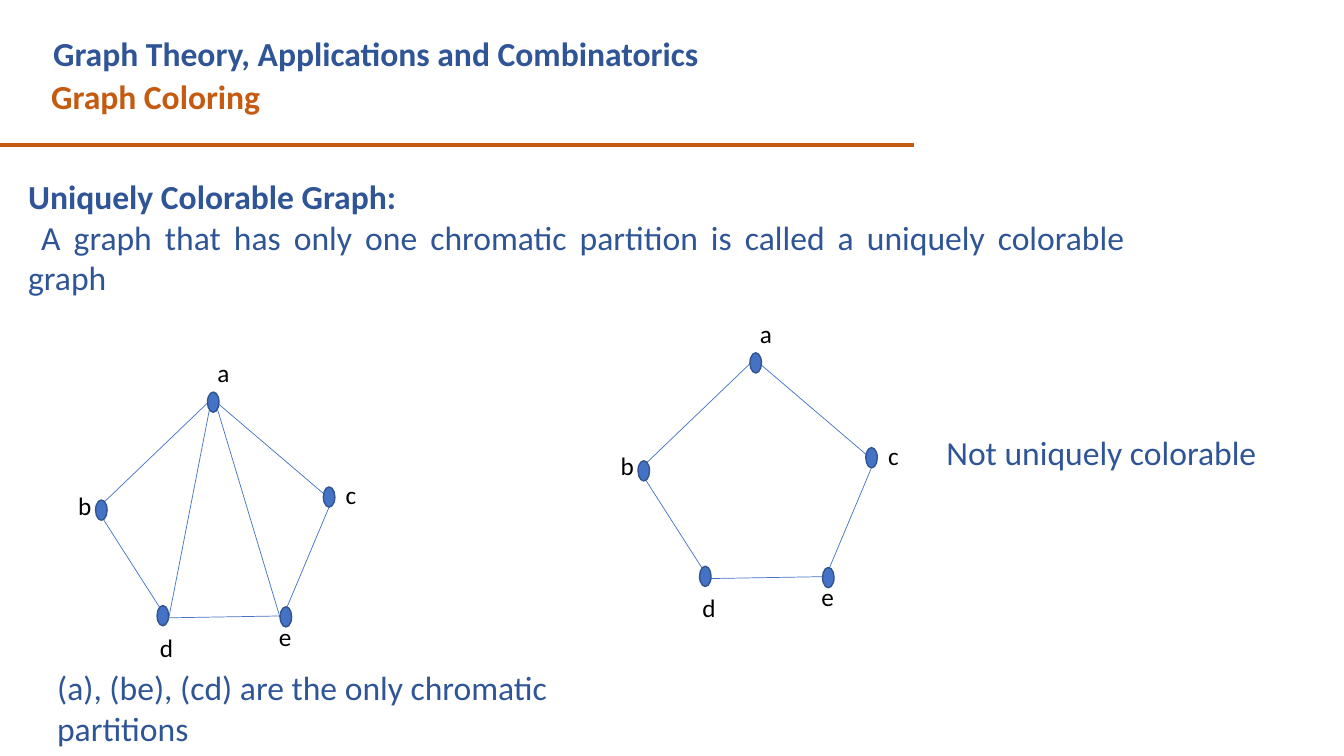
import pptx
import pptx.dml.color
import pptx.enum.shapes
import pptx.enum.text
import pptx.oxml.ns
import pptx.util
from lxml import etree
from pptx.util import Cm

COLORS = {
    "blue": "2F5597",
    "orange": "C55A11",
    "node": "4472C4",
    "outline": "325491",
    "black": "000000",
}
RGB = {name: pptx.dml.color.RGBColor.from_string(value) for name, value in COLORS.items()}

deck = pptx.Presentation()
deck.slide_width, deck.slide_height = Cm(33.87), Cm(19.05)
page = deck.slides.add_slide(deck.slide_layouts[6])


def add_text(shapes, left, top, width, height, lines, color, size=24, align=None):
    """Add a text box; lines is a list of (text, bold) pairs."""
    box = shapes.add_textbox(Cm(left), Cm(top), Cm(width), Cm(height))
    frame = box.text_frame
    frame.word_wrap = True
    frame.auto_size = pptx.enum.text.MSO_AUTO_SIZE.SHAPE_TO_FIT_TEXT
    for index, (text, bold) in enumerate(lines):
        para = frame.add_paragraph() if index else frame.paragraphs[0]
        para.alignment = align
        span = para.add_run()
        span.text = text
        font_format = {"name": "Calibri", "size": pptx.util.Pt(size), "bold": bold}
        for attribute, value in font_format.items():
            setattr(span.font, attribute, value)
        span.font.color.rgb = RGB[color]


def add_line(shapes, start, end, color, width):
    line = shapes.add_connector(
        pptx.enum.shapes.MSO_CONNECTOR.STRAIGHT, *(Cm(value) for value in (*start, *end))
    )
    line.line.color.rgb = RGB[color]
    line.line.width = pptx.util.Pt(width)
    etree.SubElement(line._element.spPr, pptx.oxml.ns.qn("a:effectLst"))


# Header
add_text(page.shapes, 1.04, 1.8, 22.23, 1.27, [("Graph Coloring", True)], "orange")
add_line(page.shapes, (-0.03, 3.66), (23.04, 3.66), "orange", 3)
add_text(page.shapes, 1.09, 0.71, 20.83, 1.27,
         [("Graph Theory, Applications and Combinatorics", True)], "blue")

# Definition
definition = [
    ("Uniquely Colorable Graph:", True),
    (" A graph that has only one chromatic partition is called a uniquely colorable graph", False),
]
add_text(page.shapes, 0.46, 4.32, 28.14, 3.33, definition, "blue",
         align=pptx.enum.text.PP_ALIGN.JUSTIFY)

# Graph parts, measured from the top left of vertex a
pentagon = [
    ((0.13, 0.15), (-2.79, 2.95)),
    ((0.1, 0.15), (3.02, 2.64)),
    ((-2.79, 2.95), (-1.07, 5.64)),
    ((3.15, 2.69), (1.91, 5.64)),
    ((-1.09, 5.69), (1.91, 5.64)),
]
chords = [((0.25, 0.43), (1.83, 5.69)), ((0.05, 0.43), (-0.97, 5.66))]
# Vertex position, label position and label width
vertices = {
    "a": ((0, 0), (0, -0.99), 1.57),
    "b": ((-2.82, 2.72), (-3.51, 2.34), 1.35),
    "c": ((2.92, 2.39), (3.23, 2.08), 1.07),
    "d": ((-1.27, 5.38), (-1.45, 5.92), 1.04),
    "e": ((1.83, 5.41), (1.55, 5.64), 1.04),
}

# Both graphs: with chords on the left, plain cycle on the right
for x, y, edges in [(5.23, 9.88, pentagon + chords), (18.9, 8.89, pentagon)]:
    graph = page.shapes.add_group_shape()
    for (x1, y1), (x2, y2) in edges:
        add_line(graph.shapes, (x + x1, y + y1), (x + x2, y + y2), "node", 0.5)
    for name, ((dx, dy), (label_dx, label_dy), label_width) in vertices.items():
        vertex = graph.shapes.add_shape(
            pptx.enum.shapes.MSO_SHAPE.OVAL, Cm(x + dx), Cm(y + dy), Cm(0.29), Cm(0.51)
        )
        vertex.shadow.inherit = False
        vertex.fill.solid()
        vertex.fill.fore_color.rgb = RGB["node"]
        vertex.line.color.rgb = RGB["outline"]
        vertex.line.width = pptx.util.Pt(1)
        add_text(graph.shapes, x + label_dx, y + label_dy, label_width, 1.02,
                 [(name, False)], "black", size=18)

# Captions
add_text(page.shapes, 1.19, 16.69, 14.17, 2.31,
         [("(a), (be), (cd) are the only chromatic partitions", False)], "blue")
add_text(page.shapes, 23.6, 10.77, 9.35, 1.27, [("Not uniquely colorable", False)], "blue")

deck.save("out.pptx")
